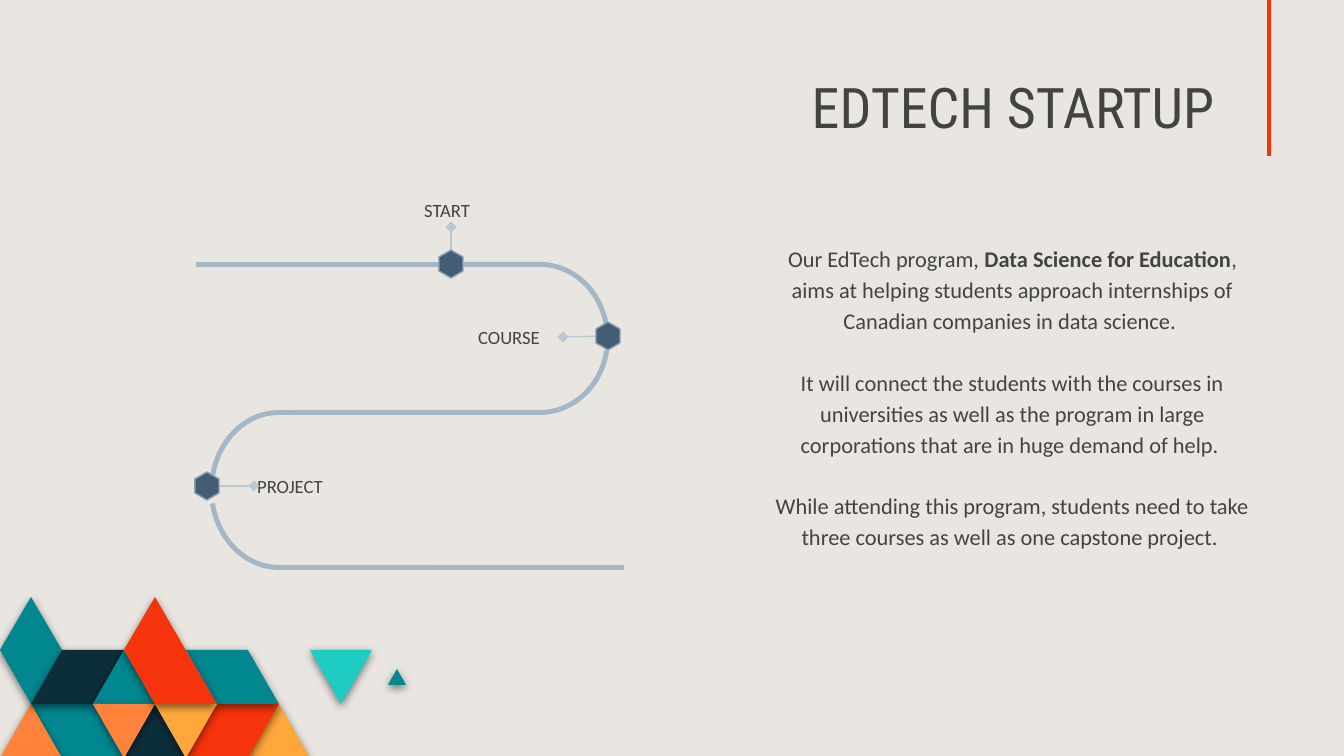
"""Build the EdTech startup slide with its winding road of three stops."""
from math import cos, radians, sin

from lxml import etree
from pptx import Presentation
from pptx import util as u
from pptx.dml.color import RGBColor
from pptx.enum import shapes, text
from pptx.oxml.ns import qn

SCALE = 914400 / 134.4
INK, ROAD, NODE, EDGE, STEM = "434343", "A5B7C6", "435D74", "869FB2", "BAC8D3"
TEAL, DARK, RED, PEACH, GOLD, AQUA = (
    "018790", "0C2E3A", "F5340B", "FF823B", "FFA73B", "1DCDC3")
COL, ROWS, THICK = 31, (597, 650, 704, 758), 5

TILES = [
    (GOLD, [(10, 3), (9, 2), (8, 3)]),
    (RED, [(9, 2), (7, 2), (6, 3), (8, 3)]),
    (TEAL, [(4, 3), (3, 2), (1, 2), (2, 3)]),
    (PEACH, [(2, 3), (1, 2), (0, 3)]),
    (DARK, [(6, 3), (5, 2), (4, 3)]),
    (TEAL, [(9, 2), (8, 1), (6, 1), (7, 2)]),
    (AQUA, [(12, 1), (10, 1), (11, 2)]),
    (TEAL, [(2, 1), (1, 0), (0, 1), (1, 2)]),
    (DARK, [(4, 1), (2, 1), (1, 2), (3, 2)]),
    (TEAL, [(5, 2), (4, 1), (3, 2)]),
    (PEACH, [(5, 2), (3, 2), (4, 3)]),
    (GOLD, [(7, 2), (5, 2), (6, 3)]),
    (RED, [(7, 2), (5, 0), (4, 1), (5, 2)]),
]
BARS = [(196, 439, 262), (414, 519, 565), (519, 624, 565)]
BENDS = [
    (540, 339, 70, 77, -11, -90, 464),
    (540, 339, 70, 76, 9, 90, 295),
    (279, 490, 70, 80, 191, 270, 295),
    (279, 490, 70, 80, 170, 90, 426),
]
STOPS = [
    ("START", (411, 185, 106), (451, 227), (451, 264)),
    ("COURSE", (465, 312, 126), (563, 337), (608, 336)),
    ("PROJECT", (244, 461, 148), (254, 486), (207, 486)),
]
BODY = [
    [("Our EdTech program, ", False), ("Data Science for Education", True),
     (", aims at helping students approach internships of Canadian companies "
      "in data science. ", False)],
    [("It will connect the students with the courses in universities as well "
      "as the program in large corporations that are in huge demand of help. ",
      False)],
    [("While attending this program, students need to take three courses as "
      "well as one capstone project. ", False)],
]


def px(n):
    """Turn px into EMU."""
    return u.Emu(round(n * SCALE))


def rgb(code):
    """Turn a hex string into a colour."""
    return RGBColor.from_string(code)


def poly(slide, pts, fill, edge=None):
    """Draw a closed outline through the given points."""
    pts = [(px(x), px(y)) for x, y in pts]
    pen = slide.shapes.build_freeform(*pts[0])
    pen.add_line_segments(pts[1:])
    shape = pen.convert_to_shape()
    shape.shadow.inherit = False
    shape.fill.solid()
    shape.fill.fore_color.rgb = rgb(fill)
    if edge:
        shape.line.color.rgb = rgb(edge)
        shape.line.width = u.Pt(0.75)
    else:
        shape.line.fill.background()
    return shape


def tile(slide, pts, fill):
    """Draw a mosaic tile with a soft shadow below it."""
    props = poly(slide, pts, fill)._element.spPr
    cast = etree.SubElement(
        props.find(qn("a:effectLst")), qn("a:outerShdw"), blurRad="57150",
        dist="19050", dir="5400000", algn="bl", rotWithShape="0")
    tint = etree.SubElement(cast, qn("a:srgbClr"), val="000000")
    etree.SubElement(tint, qn("a:alpha"), val="50000")


def bend(slide, cx, cy, rx, ry, start, stop, end):
    """Draw a curved road piece that runs straight on to its end."""
    def arc(cut):
        turns = [radians(start + (stop - start) * i / 24) for i in range(25)]
        curve = [(cx + (rx - cut) * cos(t), cy + (ry - cut) * sin(t))
                 for t in turns]
        return curve + [(end, curve[-1][1])]
    poly(slide, arc(0) + arc(THICK)[::-1], ROAD)


def line(slide, tip, foot, color, width, gem=False):
    """Draw a straight line, with a diamond at its tip if asked."""
    link = slide.shapes.add_connector(
        shapes.MSO_CONNECTOR.STRAIGHT, *map(px, tip + foot))
    link.line.color.rgb = rgb(color)
    link.line.width = u.Pt(width)
    props = link._element.spPr
    if gem:
        etree.SubElement(props.find(qn("a:ln")), qn("a:headEnd"), type="diamond")
    etree.SubElement(props, qn("a:effectLst"))


def frame(shape):
    """Set the insets and wrapping of a text frame."""
    body = shape.text_frame
    body.word_wrap = True
    body.auto_size = text.MSO_AUTO_SIZE.NONE
    body.margin_left = body.margin_right = u.Inches(0.1)
    body.margin_top = body.margin_bottom = u.Inches(0.1)
    return body


def style(para, size, face="Calibri", align=text.PP_ALIGN.LEFT):
    """Set the font and alignment of a paragraph."""
    para.font.size = u.Pt(size)
    para.font.name = face
    para.font.color.rgb = rgb(INK)
    para.alignment = align


def label(slide, words, left, top, width):
    """Write the name of a stop."""
    box = slide.shapes.add_textbox(*map(px, (left, top, width, 40)))
    para = frame(box).paragraphs[0]
    para.text = words
    style(para, 10)


def stop(slide, words, place, tip, hub):
    """Draw a stop with its name, stem and hexagon."""
    label(slide, words, *place)
    line(slide, tip, hub, STEM, 0.75, gem=True)
    x, y = hub
    ring = [(12, -7), (0, -14), (-12, -7), (-12, 7), (0, 14), (12, 7)]
    poly(slide, [(x + dx, y + dy) for dx, dy in ring], NODE, EDGE)


def title(slide, words):
    """Place and format the title."""
    head = slide.shapes.title
    head.left, head.top, head.width, head.height = map(px, (39, 69, 1189, 84))
    body = frame(head)
    body.vertical_anchor = text.MSO_ANCHOR.BOTTOM
    body.text = words
    style(body.paragraphs[0], 30, "Roboto Condensed", text.PP_ALIGN.RIGHT)


def prose(slide, parts):
    """Write the centred paragraphs."""
    box = slide.shapes.add_textbox(*map(px, (753, 228, 519, 422)))
    body = frame(box)
    for i, runs in enumerate(parts):
        para = body.add_paragraph() if i else body.paragraphs[0]
        style(para, 12, align=text.PP_ALIGN.CENTER)
        para.line_spacing = 1.15
        para.space_after = u.Pt(16.5)
        for words, bold in runs:
            run = para.add_run()
            run.text = words
            run.font.bold = bold


def main():
    """Build and save the slide."""
    deck = Presentation()
    deck.slide_width, deck.slide_height = px(1344), px(756)
    slide = deck.slides.add_slide(deck.slide_layouts[5])
    slide.background.fill.solid()
    slide.background.fill.fore_color.rgb = rgb("E9E6E1")
    for fill, spots in TILES:
        tile(slide, [(COL * c, ROWS[r]) for c, r in spots], fill)
    tile(slide, [(388, 685), (397, 669), (406, 685)], TEAL)
    line(slide, (1269, 0), (1269, 156), RED, 2.25)
    title(slide, "EDTECH STARTUP")
    prose(slide, BODY)
    for left, right, top in BARS:
        low = top + THICK
        poly(slide, [(left, top), (right, top), (right, low), (left, low)], ROAD)
    for piece in BENDS:
        bend(slide, *piece)
    for item in STOPS:
        stop(slide, *item)
    deck.save("out.pptx")


if __name__ == "__main__":
    main()
